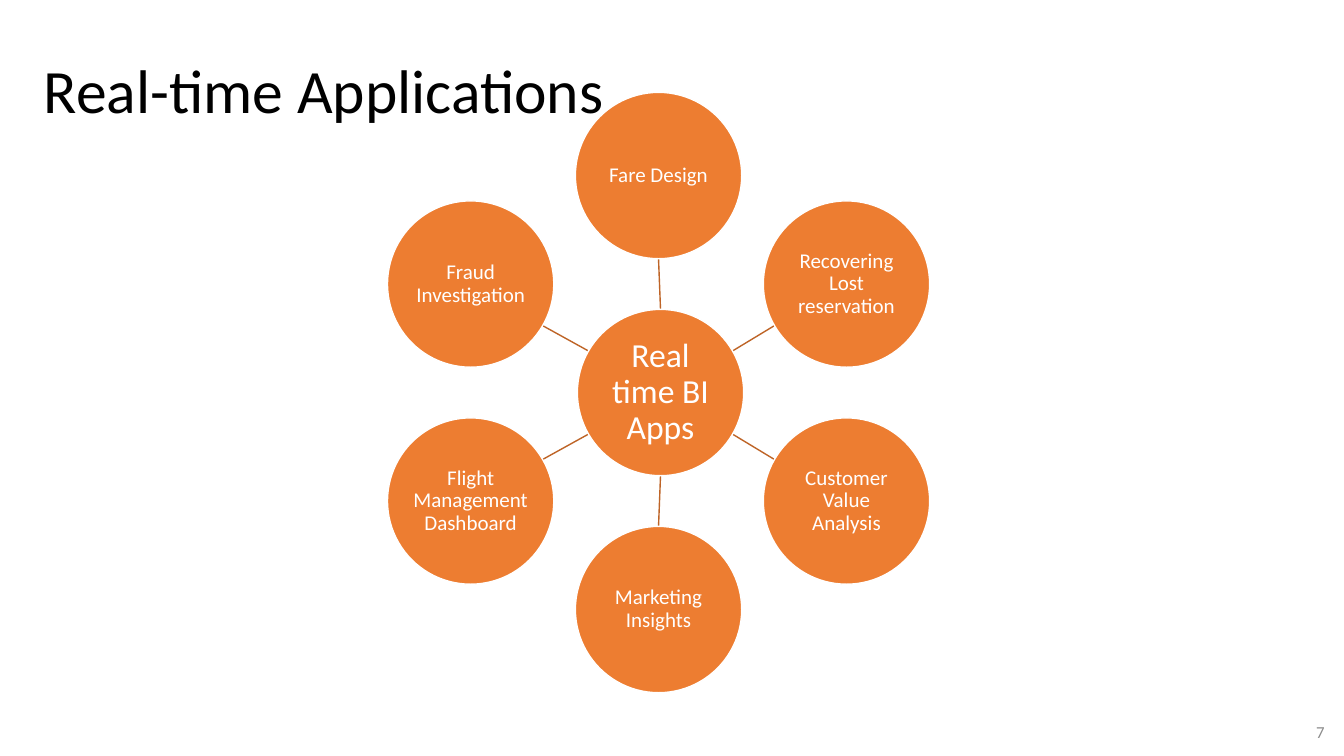
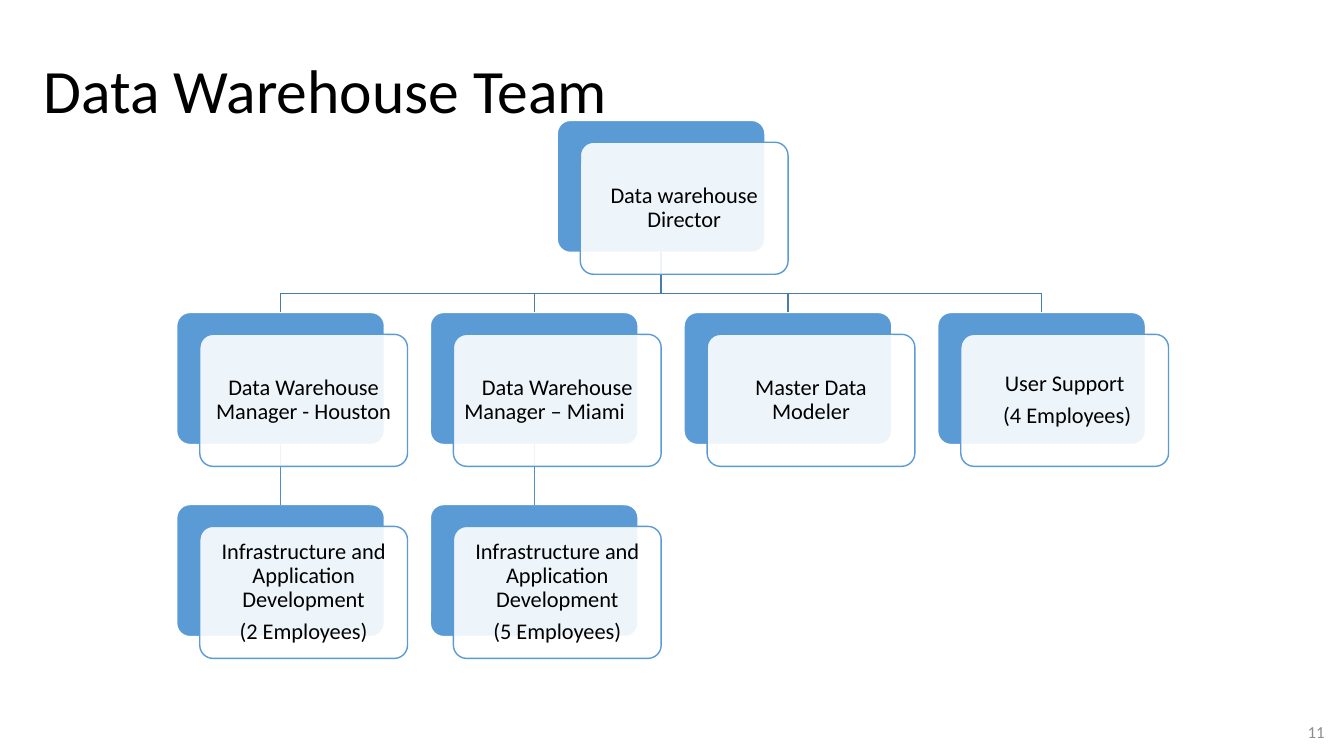
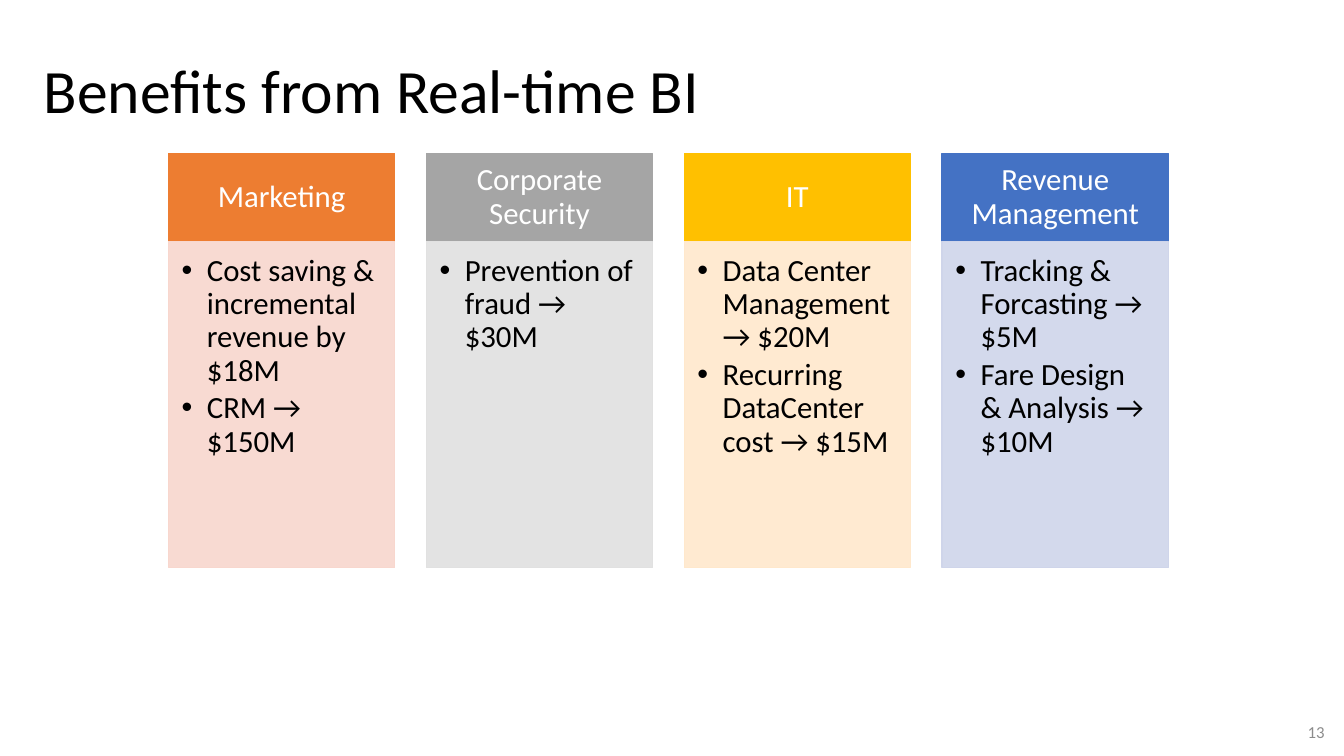
from math import cos, radians, sin

from pptx import Presentation
from pptx.dml.color import RGBColor
from pptx.enum.shapes import MSO_CONNECTOR as LINK, MSO_SHAPE as SHAPE
from pptx.enum.text import MSO_ANCHOR as ANCHOR, MSO_AUTO_SIZE as FIT, PP_ALIGN as ALIGN
from pptx.oxml.ns import qn
from pptx.util import Pt
from lxml.etree import SubElement

FONT = "Calibri"
BLACK = RGBColor(0x00, 0x00, 0x00)
WHITE = RGBColor(0xFF, 0xFF, 0xFF)
PAGE_GRAY = RGBColor(0x8C, 0x8C, 0x8C)
ORANGE = RGBColor(0xED, 0x7D, 0x31)
SPOKE = RGBColor(0xBE, 0x64, 0x27)
BLUE = RGBColor(0x5B, 0x9B, 0xD5)
BRANCH = RGBColor(0x49, 0x7C, 0xAB)
TWIG = RGBColor(0x53, 0x8D, 0xC1)
GRAY = RGBColor(0xA5, 0xA5, 0xA5)
GOLD = RGBColor(0xFF, 0xC0, 0x00)
INDIGO = RGBColor(0x44, 0x72, 0xC4)
PALE_ORANGE = RGBColor(0xF8, 0xD7, 0xCE)
PALE_GRAY = RGBColor(0xE1, 0xE1, 0xE1)
PALE_GOLD = RGBColor(0xFF, 0xE8, 0xCC)
PALE_INDIGO = RGBColor(0xCF, 0xD5, 0xEA)


def add_block(page, kind, at, fill, line, opacity=100):
    """Add a preset shape with a one-point outline; at is left, top, width, height."""
    block = page.shapes.add_shape(kind, *map(Pt, at))
    block.shadow.inherit = False
    block.fill.solid()
    block.fill.fore_color.rgb = fill
    if opacity < 100:
        colour = block._element.spPr.find(qn("a:solidFill"))[0]
        SubElement(colour, qn("a:alpha")).set("val", str(opacity * 1000))
    block.line.color.rgb = line
    block.line.width = Pt(1)
    return block


def write(box, lines, size, colour, align=ALIGN.CENTER, anchor=ANCHOR.MIDDLE,
          margins=(7.2, 3.6, 7.2, 3.6), after=0, spacing=0.9, bullet=False):
    """Fill a box with one paragraph per line; margins are left, top, right, bottom."""
    frame = box.text_frame
    frame.auto_size = FIT.NONE
    frame.word_wrap = True
    frame.vertical_anchor = anchor
    for side, margin in zip(("left", "top", "right", "bottom"), margins):
        setattr(frame, f"margin_{side}", Pt(margin))
    for index, text in enumerate(lines):
        para = frame.add_paragraph() if index else frame.paragraphs[0]
        layout = {"alignment": align, "line_spacing": spacing,
                  "space_before": Pt(0), "space_after": Pt(after)}
        for name, value in layout.items():
            setattr(para, name, value)
        if bullet:
            props = para._p.get_or_add_pPr()
            props.set("marL", str(Pt(18)))
            props.set("indent", str(-Pt(18)))
            SubElement(props, qn("a:buFont")).set("typeface", "Arial")
            SubElement(props, qn("a:buChar")).set("char", "•")
        span = para.add_run()
        span.text = text
        for name, value in {"name": FONT, "size": Pt(size)}.items():
            setattr(span.font, name, value)
        span.font.color.rgb = colour


deck = Presentation()
deck.slide_width, deck.slide_height = Pt(960), Pt(540)

# Titles and page numbers
pages = []
for title, number in (("Real-time Applications", "7"),
                      ("Data Warehouse Team", "11"),
                      ("Benefits from Real-time BI", "13")):
    page = deck.slides.add_slide(deck.slide_layouts.get_by_name("Title Only"))
    heading = page.shapes.title
    place = {"left": 24, "top": 21.6, "width": 831.6, "height": 90}
    for name, value in place.items():
        setattr(heading, name, Pt(value))
    write(heading, [title], 44, BLACK, ALIGN.LEFT)
    number_box = page.shapes.add_textbox(Pt(914.4), Pt(514), Pt(38.9), Pt(17.3))
    write(number_box, [number], 12, PAGE_GRAY, ALIGN.RIGHT, spacing=1)
    pages.append(page)
apps_page, team_page, benefits_page = pages
links = []

# Hub with six applications around it
DIAMETER, ORBIT = 118.8, 155
RADIUS = DIAMETER / 2
HUB_X, ORBIT_X, CENTER_Y = 471.8, 470.4, 280.4
applications = ["Fare Design", "Recovering Lost reservation", "Customer Value Analysis",
                "Marketing Insights", "Flight Management Dashboard", "Fraud Investigation"]
circles = [("Real time BI Apps", 24, HUB_X, CENTER_Y)]
for index, text in enumerate(applications):
    angle = radians(index * 360 / len(applications) - 90)
    across, down = cos(angle), sin(angle)
    x, y = ORBIT_X + ORBIT * across, CENTER_Y + ORBIT * down
    circles.append((text, 15, x, y))
    spoke = apps_page.shapes.add_connector(
        LINK.STRAIGHT,
        Pt(HUB_X + RADIUS * across), Pt(CENTER_Y + RADIUS * down),
        Pt(x - RADIUS * across), Pt(y - RADIUS * down))
    links.append((spoke, SPOKE))
for text, size, x, y in circles:
    circle = add_block(apps_page, SHAPE.OVAL, (x - RADIUS, y - RADIUS, DIAMETER, DIAMETER),
                       ORANGE, WHITE)
    write(circle, [text], size, WHITE, margins=(1, 1, 1, 1))

# Team chart: column, row and text of each card
CARD_LEFT, CARD_TOP, CARD_WIDTH, CARD_HEIGHT = 126.2, 86, 148.4, 94.3
COLUMN_STEP, ROW_STEP = 181.2, 137.2
SHIFT_X, SHIFT_Y = 16.5, 15.6
BUS_Y = 209.5
development = "Infrastructure and Application Development"
cards = {
    (1.5, 0): ["Data warehouse Director"],
    (0, 1): ["Data Warehouse Manager - Houston"],
    (1, 1): ["Data Warehouse Manager – Miami\t"],
    (2, 1): ["Master Data Modeler"],
    (3, 1): ["User Support", " (4 Employees)"],
    (0, 2): [development, "(2 Employees)"],
    (1, 2): [development, "(5 Employees)"],
}
backs = {}
for column, row in cards:
    at = (CARD_LEFT + column * COLUMN_STEP, CARD_TOP + row * ROW_STEP, CARD_WIDTH, CARD_HEIGHT)
    backs[column, row] = add_block(team_page, SHAPE.ROUNDED_RECTANGLE, at, BLUE, WHITE)
    backs[column, row].adjustments[0] = 0.1

# Lines between the cards: trunk, bus, drops, then the lower row
middles = [Pt(CARD_LEFT + CARD_WIDTH / 2 + column * COLUMN_STEP) for column in (0, 1.5, 3)]
trunk = team_page.shapes.add_connector(LINK.STRAIGHT, 0, 0, middles[1], Pt(BUS_Y))
trunk.begin_connect(backs[1.5, 0], 2)
bus = team_page.shapes.add_connector(LINK.STRAIGHT, middles[0], Pt(BUS_Y), middles[2], Pt(BUS_Y))
links += [(trunk, BRANCH), (bus, BRANCH)]
for (column, row), back in backs.items():
    if row == 0:
        continue
    x = back.left + back.width // 2
    drop = team_page.shapes.add_connector(LINK.STRAIGHT, x, Pt(BUS_Y), x, back.top)
    if row == 2:
        drop.begin_connect(backs[column, 1], 2)
    drop.end_connect(back, 0)
    links.append((drop, BRANCH if row == 1 else TWIG))

for (column, row), lines in cards.items():
    at = (CARD_LEFT + column * COLUMN_STEP + SHIFT_X, CARD_TOP + row * ROW_STEP + SHIFT_Y,
          CARD_WIDTH, CARD_HEIGHT)
    front = add_block(team_page, SHAPE.ROUNDED_RECTANGLE, at, WHITE, BLUE, opacity=90)
    front.adjustments[0] = 0.1
    write(front, lines, 16, BLACK, margins=(5, 5, 5, 5), after=5.6)

# Colour and weight of every line
for link, colour in links:
    link.line.color.rgb = colour
    link.line.width = Pt(1)
    SubElement(link._element.spPr, qn("a:effectLst"))

# Benefit columns
benefits = [
    ("Marketing", ORANGE, PALE_ORANGE,
     ["Cost saving & incremental revenue by $18M", "CRM → $150M"]),
    ("Corporate Security", GRAY, PALE_GRAY, ["Prevention of fraud → $30M"]),
    ("IT", GOLD, PALE_GOLD,
     ["Data Center Management → $20M", "Recurring DataCenter cost → $15M"]),
    ("Revenue Management", INDIGO, PALE_INDIGO,
     ["Tracking & Forcasting → $5M", "Fare Design & Analysis → $10M"]),
]
for index, (name, strong, pale, points) in enumerate(benefits):
    left = 120.4 + index * 184.2
    header = add_block(benefits_page, SHAPE.RECTANGLE, (left, 109.6, 161.5, 63), strong, strong)
    write(header, [name], 22, WHITE, margins=(12.2, 7.2, 12.2, 7.2))
    body = add_block(benefits_page, SHAPE.RECTANGLE, (left, 172.6, 161.5, 233), pale, pale,
                     opacity=90)
    write(body, points, 22, BLACK, ALIGN.LEFT, ANCHOR.TOP, (9.4, 9.4, 12.2, 13.7),
          after=3.3, bullet=True)

deck.save("out.pptx")
